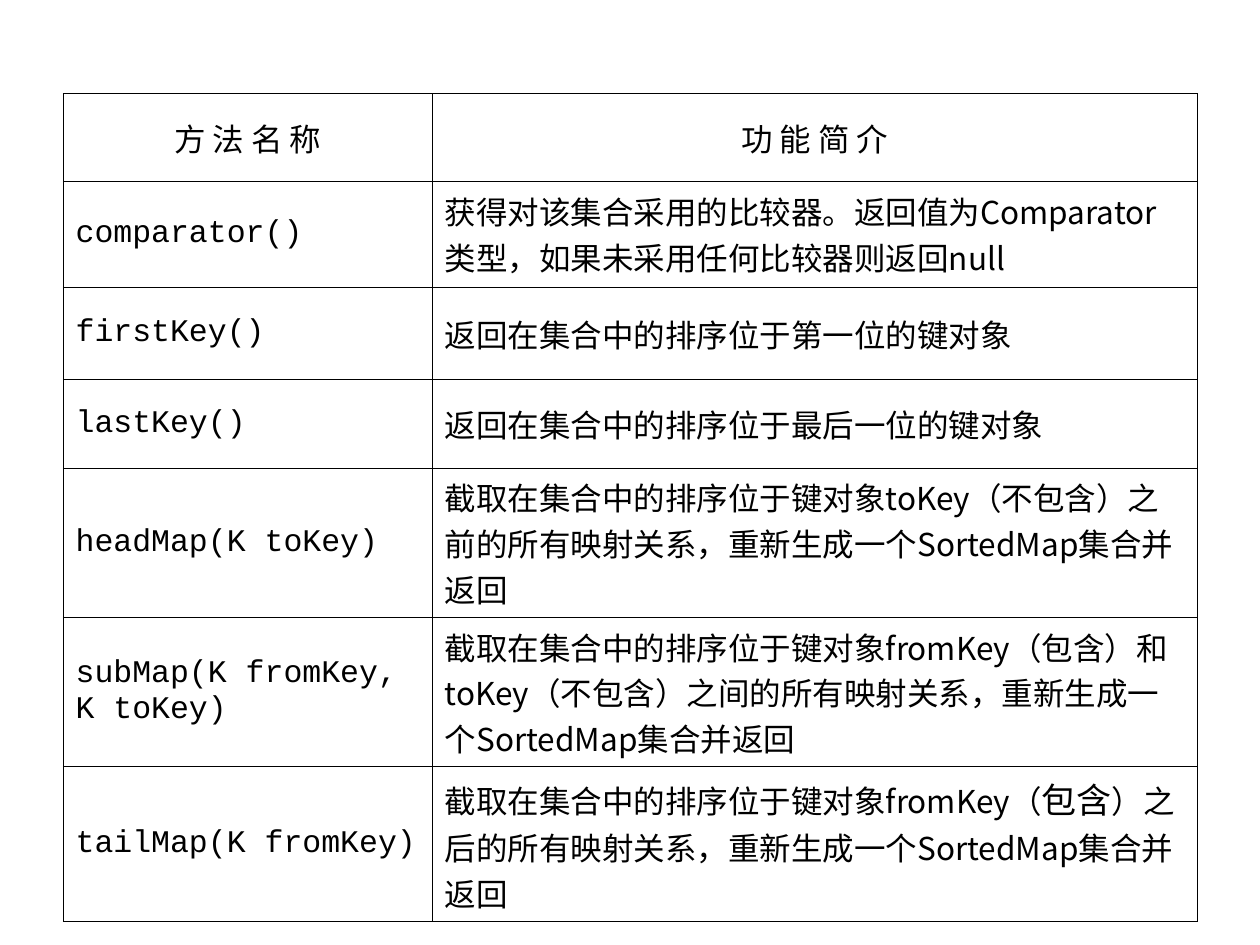
from lxml import etree
from pptx import Presentation
from pptx.dml.color import RGBColor
from pptx.enum import text
from pptx.oxml import ns
from pptx.util import Pt

BLACK = RGBColor(0, 0, 0)
HAN = "Noto Sans CJK SC"
CODE = "Courier New"

COLUMN_WIDTHS = [211, 437]
ROW_HEIGHTS = [50, 60.5, 53, 50.5, 72, 72, 74]
METHODS = [
    ("方 法 名 称", [("功 能 简 介", 18)]),
    ("comparator()", [("获得对该集合采用的比较器。返回值为Comparator类型，如果未采用任何比较器则返回null", 18)]),
    ("firstKey()", [("返回在集合中的排序位于第一位的键对象", 18)]),
    ("lastKey()", [("返回在集合中的排序位于最后一位的键对象", 18)]),
    ("headMap(K toKey)", [("截取在集合中的排序位于键对象toKey（不包含）之前的所有映射关系，重新生成一个SortedMap集合并返回", 18)]),
    ("subMap(K fromKey, K toKey)", [("截取在集合中的排序位于键对象fromKey（包含）和toKey（不包含）之间的所有映射关系，重新生成一个SortedMap集合并返回", 18)]),
    ("tailMap(K fromKey)", [("截取在集合中的排序位于键对象fromKey（", 18), ("包含", 20),
                            ("）之后的所有映射关系，重新生成一个SortedMap集合并返回", 18)]),
]


def add_borders(cell, widths):
    properties = cell._tc.get_or_add_tcPr()
    for position, (side, width) in enumerate(widths.items()):
        line = etree.Element(ns.qn(f"a:ln{side}"), w=str(Pt(width)))
        fill = etree.SubElement(line, ns.qn("a:solidFill"))
        etree.SubElement(fill, ns.qn("a:srgbClr"), val=str(BLACK))
        properties.insert(position, line)


def write_cell(cell, runs, font_name, centred):
    cell.vertical_anchor = text.MSO_ANCHOR.MIDDLE
    cell.margin_left = cell.margin_right = Pt(7.2)
    cell.margin_top = cell.margin_bottom = Pt(3.6)
    paragraph = cell.text_frame.paragraphs[0]
    paragraph.alignment = text.PP_ALIGN.CENTER if centred else text.PP_ALIGN.LEFT
    for wording, size in runs:
        run = paragraph.add_run()
        run.text = wording
        run.font.size = Pt(size)
        run.font.bold = False
        run.font.color.rgb = BLACK
        run.font.name = font_name
        etree.SubElement(run.font._element, ns.qn("a:ea"), typeface=HAN)


prs = Presentation()
prs.slide_width, prs.slide_height = Pt(720), Pt(540)
slide = prs.slides.add_slide(prs.slide_layouts[6])

methods = slide.shapes.add_table(
    len(METHODS), 2, Pt(36), Pt(53.5), Pt(sum(COLUMN_WIDTHS)), Pt(sum(ROW_HEIGHTS))).table
methods.first_row = methods.horz_banding = False
for column, width in zip(methods.columns, COLUMN_WIDTHS):
    column.width = Pt(width)
for row, height in zip(methods.rows, ROW_HEIGHTS):
    row.height = Pt(height)

for index, (method, description) in enumerate(METHODS):
    header = index == 0
    name_cell, description_cell = methods.cell(index, 0), methods.cell(index, 1)
    write_cell(name_cell, [(method, 18)], HAN if header else CODE, header)
    write_cell(description_cell, description, HAN, header)
    for cell in (name_cell, description_cell):
        cell.fill.background()
    add_borders(name_cell, {"L": 0.34, "R": 0.45, "T": 0.45, "B": 0.45})
    add_borders(description_cell, {"L": 0.45, "R": 0.34, "T": 0.45, "B": 0.45})

prs.save("out.pptx")
